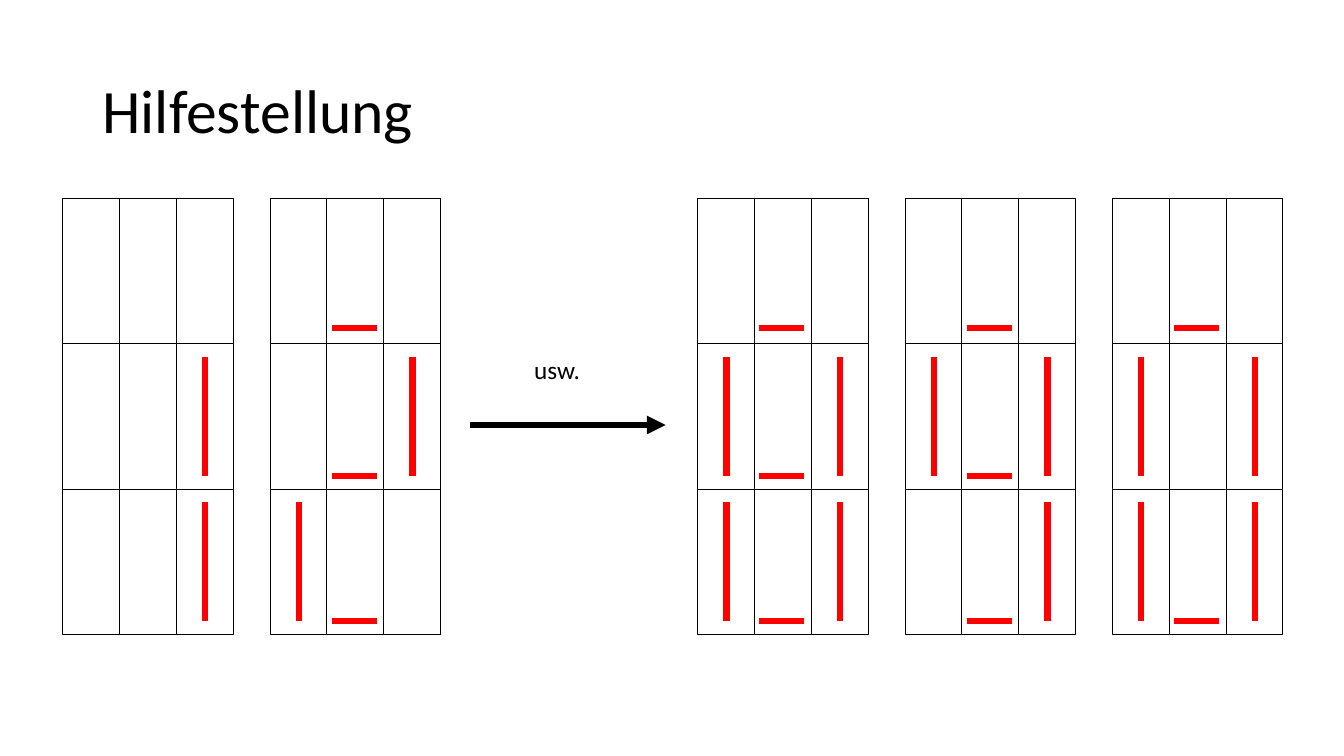
from dataclasses import dataclass

from lxml import etree
from pptx import Presentation
from pptx.dml.color import RGBColor
from pptx.enum.shapes import MSO_CONNECTOR, MSO_SHAPE
from pptx.enum.text import MSO_ANCHOR
from pptx.oxml.ns import qn
from pptx.shapes.connector import Connector
from pptx.shapes.shapetree import GroupShapes, SlideShapes
from pptx.util import Inches, Length, Pt

BLACK = RGBColor(0x00, 0x00, 0x00)
WHITE = RGBColor(0xFF, 0xFF, 0xFF)
RED = RGBColor(0xFF, 0x00, 0x00)
FONT = "Calibri"
RECTANGLE = MSO_SHAPE.RECTANGLE
STRAIGHT = MSO_CONNECTOR.STRAIGHT
TOP = MSO_ANCHOR.TOP
MIDDLE = MSO_ANCHOR.MIDDLE

SLIDE_WIDTH, SLIDE_HEIGHT = 13.33, 7.5
GRID_LEFT, GRID_TOP = 0.62, 1.97
COLUMN_WIDTH = 1.69 / 3
ROW_HEIGHT = 1.44
GRID_SIZE = 3
BLANK_LAYOUT = 6
STROKE_WIDTH = 4.5


@dataclass(frozen=True)
class Board:
    column: float
    strokes: tuple[str, str, str]
    has_centre: bool = False


BOARDS = (
    Board(0, ("   ", "  |", "  |"), has_centre=True),
    Board(3.65, (" - ", " -|", "|- ")),
    Board(11.18, (" - ", "|-|", "|-|")),
    Board(14.83, (" - ", "|-|", " -|")),
    Board(18.48, (" - ", "| |", "|-|")),
)


def column_x(column: float) -> Length:
    return Inches(GRID_LEFT + column * COLUMN_WIDTH)


def row_y(row: float) -> Length:
    return Inches(GRID_TOP + row * ROW_HEIGHT)


def add_text(shapes: SlideShapes, text: str, *, column: float, row: float,
             columns: float, rows: float, size: float,
             anchor: MSO_ANCHOR = TOP, line_spacing: float = 1.0) -> None:
    box = shapes.add_textbox(column_x(column), row_y(row),
                             Inches(columns * COLUMN_WIDTH), Inches(rows * ROW_HEIGHT))
    frame = box.text_frame
    frame.word_wrap = True
    frame.vertical_anchor = anchor
    paragraph = frame.paragraphs[0]
    paragraph.line_spacing = line_spacing
    run = paragraph.add_run()
    run.text = text
    run.font.name = FONT
    run.font.size = Pt(size)
    run.font.color.rgb = BLACK


def add_line(shapes: SlideShapes | GroupShapes, start: tuple[float, float],
             end: tuple[float, float], color: RGBColor) -> Connector:
    line = shapes.add_connector(STRAIGHT, column_x(start[0]), row_y(start[1]),
                                column_x(end[0]), row_y(end[1]))
    line.line.color.rgb = color
    line.line.width = Pt(STROKE_WIDTH)
    etree.SubElement(line._element.spPr, qn("a:effectLst"))
    return line


def add_arrow(shapes: SlideShapes, start: tuple[float, float],
              end: tuple[float, float]) -> None:
    arrow = add_line(shapes, start, end, BLACK)
    etree.SubElement(arrow.line._get_or_add_ln(), qn("a:tailEnd"), type="triangle")


def add_cell(shapes: GroupShapes, column: float, row: int) -> None:
    cell = shapes.add_shape(RECTANGLE, column_x(column), row_y(row),
                            Inches(COLUMN_WIDTH), Inches(ROW_HEIGHT))
    cell.shadow.inherit = False
    cell.fill.solid()
    cell.fill.fore_color.rgb = WHITE
    cell.line.color.rgb = BLACK
    cell.line.width = Pt(0.25)


def add_stroke(shapes: GroupShapes, stroke: str, column: float, row: int) -> None:
    if stroke == "|":
        add_line(shapes, (column + 0.51, row + 0.91), (column + 0.51, row + 0.09), RED)
    elif stroke == "-":
        height = row + (0.89 if row == 0 else 0.91)
        add_line(shapes, (column + 0.09, height), (column + 0.88, height), RED)


def add_board(shapes: SlideShapes, board: Board) -> None:
    group_shapes = shapes.add_group_shape().shapes
    for row in range(GRID_SIZE):
        for column in range(GRID_SIZE):
            if board.has_centre or (row, column) != (1, 1):
                add_cell(group_shapes, board.column + column, row)
    for row, strokes in enumerate(board.strokes):
        for column, stroke in enumerate(strokes):
            add_stroke(group_shapes, stroke, board.column + column, row)


def main() -> None:
    presentation = Presentation()
    presentation.slide_width = Inches(SLIDE_WIDTH)
    presentation.slide_height = Inches(SLIDE_HEIGHT)
    slide = presentation.slides.add_slide(presentation.slide_layouts[BLANK_LAYOUT])
    shapes = slide.shapes

    add_text(shapes, "Hilfestellung", column=0.53, row=-1.09, columns=20.41, rows=1.01,
             size=44, anchor=MIDDLE, line_spacing=0.9)
    for board in BOARDS:
        add_board(shapes, board)
    add_arrow(shapes, (7.17, 1.56), (10.62, 1.56))
    add_text(shapes, "usw.", column=8.13, row=1.04, columns=1.85, rows=0.44, size=18)

    presentation.save("out.pptx")


if __name__ == "__main__":
    main()
